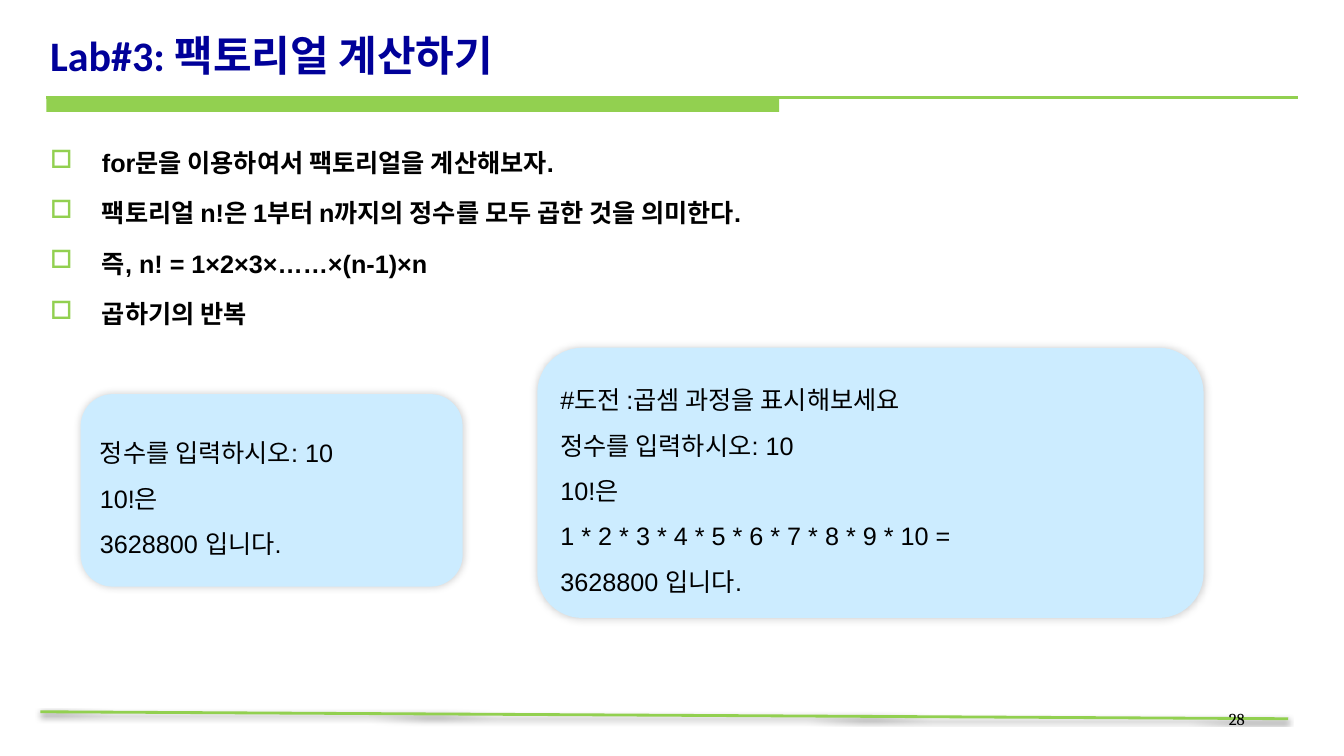
from lxml import etree
from pptx import Presentation
from pptx.dml.color import RGBColor
from pptx.enum import shapes, text
from pptx.oxml import ns
from pptx.util import Pt

GREEN, NAVY, BLACK, PALE_BLUE = "92D050", "000099", "000000", "CCECFF"


def color(value):
    return RGBColor.from_string(value)


def sub(parent, tag, **attrs):
    el = etree.SubElement(parent, ns.qn(tag))
    for name, value in attrs.items():
        el.set(name, str(value))
    return el


def set_shadow(sp, opacity=0, blur=0, dist=0, angle=0):
    """Give a shape or line its own shadow; no opacity means no shadow."""
    effects = sub(sp._element.spPr, "a:effectLst")
    if opacity:
        outer = sub(effects, "a:outerShdw", blurRad=Pt(blur), dist=Pt(dist),
                    dir=angle * 60000, algn="ctr", rotWithShape=0)
        clr = sub(outer, "a:srgbClr", val=BLACK)
        sub(clr, "a:alpha", val=opacity * 1000)


def write(sp, lines, font, anchor="TOP", **paragraph_format):
    tf = sp.text_frame
    tf.word_wrap = True
    tf.vertical_anchor = getattr(text.MSO_ANCHOR, anchor)
    for i, line in enumerate(lines):
        p = tf.add_paragraph() if i else tf.paragraphs[0]
        for name, value in {"alignment": text.PP_ALIGN.LEFT, **paragraph_format}.items():
            setattr(p, name, value)
        r = p.add_run()
        r.text = line
        for name, value in font.items():
            if name == "color":
                r.font.color.rgb = color(value)
            else:
                setattr(r.font, name, value)


def text_box(slide, box, lines, font, **formats):
    sp = slide.shapes.add_textbox(*map(Pt, box))
    write(sp, lines, font, **formats)
    return sp


def add_rule(slide, x1, y1, x2, y2, width, **shadow):
    line = slide.shapes.add_connector(shapes.MSO_CONNECTOR.STRAIGHT, *map(Pt, (x1, y1, x2, y2)))
    line.line.color.rgb = color(GREEN)
    line.line.width = Pt(width)
    set_shadow(line, **shadow)


def add_block(slide, kind, box, fill):
    sp = slide.shapes.add_shape(kind, *map(Pt, box))
    sp.fill.solid()
    sp.fill.fore_color.rgb = color(fill)
    sp.line.fill.background()
    return sp


def header(slide, box, title):
    x, y, w, h = box
    # Thick bar under the title, thin rule across the full width
    bar_x, bar_y = x + 4.3, y + h + 9.4
    bar = add_block(slide, shapes.MSO_SHAPE.RECTANGLE, (bar_x, bar_y, 523.4, 10.1), GREEN)
    set_shadow(bar)
    add_rule(slide, bar_x, bar_y, bar_x + 894.2, bar_y, 2.25)
    text_box(slide, box, [title],
             {"name": "Calibri", "size": Pt(30), "bold": True, "color": NAVY}, anchor="BOTTOM")


def bullet_list(slide, box, items):
    sp = text_box(slide, box, items,
                  {"name": "Arial", "size": Pt(18), "bold": True, "color": BLACK},
                  line_spacing=1.5, space_before=Pt(3.6))
    for p in sp.text_frame.paragraphs:
        pPr = p._p.get_or_add_pPr()
        pPr.set("marL", str(Pt(36.9)))
        pPr.set("indent", str(-Pt(36.9)))
        sub(sub(pPr, "a:buClr"), "a:srgbClr", val=GREEN)
        sub(pPr, "a:buChar", char="□")


def output_panel(slide, box, lines):
    sp = add_block(slide, shapes.MSO_SHAPE.FLOWCHART_ALTERNATE_PROCESS, box, PALE_BLUE)
    set_shadow(sp, opacity=20, blur=6, angle=315)
    write(sp, lines, {"name": "Arial", "size": Pt(18), "color": BLACK},
          anchor="MIDDLE", line_spacing=1.5)


def footer(slide, box, number):
    x, y, w, h = box
    add_rule(slide, x, y, x + w, y + h, 2, opacity=38, blur=3.1, dist=1.6, angle=90)
    text_box(slide, (x + 659.5, y - 5.8, 208, 37.4), [number],
             {"name": "Cambria", "size": Pt(12), "color": BLACK},
             alignment=text.PP_ALIGN.RIGHT)


def main():
    prs = Presentation()
    prs.slide_width, prs.slide_height = Pt(960), Pt(540)
    slide = prs.slides.add_slide(prs.slide_layouts[6])

    footer(slide, (28.8, 508.4, 891.4, 5), "28")
    header(slide, (28.8, 6.5, 898.6, 54), "Lab#3: 팩토리얼 계산하기")
    bullet_list(slide, (28.8, 90.7, 898.6, 404), [
        "for문을 이용하여서 팩토리얼을 계산해보자.",
        "팩토리얼 n!은 1부터 n까지의 정수를 모두 곱한 것을 의미한다.",
        "즉, n! = 1×2×3×……×(n-1)×n",
        "곱하기의 반복",
    ])

    # Sample run, then the challenge version with the steps shown
    prompt, start, result = "정수를 입력하시오: 10", "10!은", "3628800 입니다."
    steps = " * ".join(str(n) for n in range(1, 11)) + " ="
    output_panel(slide, (57.6, 281.5, 272.9, 137.5), [prompt, start, result])
    output_panel(slide, (383.8, 248.4, 475.9, 193),
                 ["#도전 :곱셈 과정을 표시해보세요", prompt, start, steps, result])
    prs.save("out.pptx")


if __name__ == "__main__":
    main()
